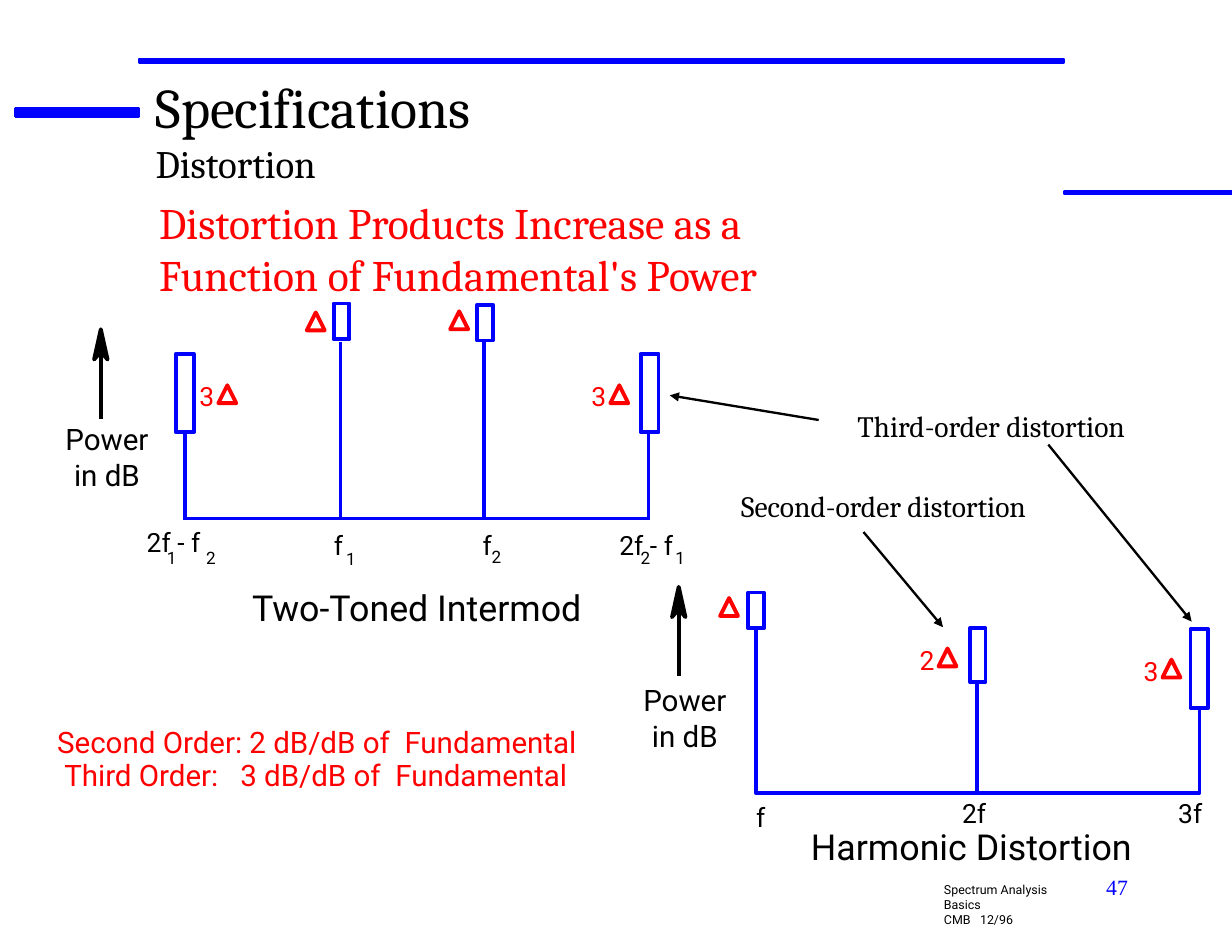
"""Build the slide on distortion products in spectrum analysis."""
import lxml.etree
import pptx
import pptx.dml.color
import pptx.enum.shapes
import pptx.enum.text
import pptx.oxml.ns
import pptx.util

BLUE, RED, BLACK = "0000FF", "FF0000", "000000"
Align = pptx.enum.text.PP_ALIGN
Anchor = pptx.enum.text.MSO_ANCHOR
hex_color = pptx.dml.color.RGBColor.from_string
qn = pptx.oxml.ns.qn

deck = pptx.Presentation()
deck.slide_width = pptx.util.Inches(11)
deck.slide_height = pptx.util.Inches(8.5)
column = deck.slide_width / 110
row = deck.slide_height / 85
page = deck.slides.add_slide(deck.slide_layouts[5])


def draw(points, color, width=2.5, filled=False, arrow=False):
    """Draw a connector through two grid points or an outline through more."""
    spots = [(round(x * column), round(y * row)) for x, y in points]
    if len(spots) == 2:
        shape = page.shapes.add_connector(
            pptx.enum.shapes.MSO_CONNECTOR.STRAIGHT, *spots[0], *spots[1])
    else:
        builder = page.shapes.build_freeform(*spots[0], scale=1.0)
        builder.add_line_segments(spots[1:], close=points[0] == points[-1])
        shape = builder.convert_to_shape()
        shape.shadow.inherit = False
        if filled:
            shape.fill.solid()
            shape.fill.fore_color.rgb = hex_color(color)
        else:
            shape.fill.background()
    shape.line.color.rgb = hex_color(color)
    shape.line.width = pptx.util.Pt(width)
    if len(spots) == 2:
        properties = shape._element.spPr
        if arrow:
            outline = properties.find(qn("a:ln"))
            lxml.etree.SubElement(outline, qn("a:tailEnd"), type="triangle")
        lxml.etree.SubElement(properties, qn("a:effectLst"))


def write(text, place, size, color=BLACK, font="Roboto", align=Align.LEFT,
          anchor=Anchor.BOTTOM, inset=(0, 0), box=None):
    """Set formatted text in a new box, or in the given one, on the grid."""
    left, top, width, height = place
    box = box or page.shapes.add_textbox(0, 0, 0, 0)
    box.left, box.width = round(left * column), round(width * column)
    box.top, box.height = round(top * row), round(height * row)
    frame = box.text_frame
    frame.text = text
    frame.word_wrap = True
    frame.auto_size = pptx.enum.text.MSO_AUTO_SIZE.NONE
    frame.vertical_anchor = anchor
    frame.margin_left = frame.margin_right = round(inset[0] * column)
    frame.margin_top = frame.margin_bottom = round(inset[1] * row)
    for para in frame.paragraphs:
        para.alignment = align
        for span in para.runs:
            span.font.name = font
            span.font.size = pptx.util.Pt(size)
            span.font.color.rgb = hex_color(color)
    return frame


for left, top, width, height in [
        (1.4, 9.7, 11, 0.7), (12.4, 5.3, 82.6, 0.3), (95, 17.1, 15, 0.2)]:
    rule = page.shapes.add_shape(
        pptx.enum.shapes.MSO_SHAPE.ROUNDED_RECTANGLE, round(left * column),
        round(top * row), round(width * column), round(height * row))
    rule.adjustments[0] = 0
    rule.shadow.inherit = False
    rule.fill.solid()
    rule.fill.fore_color.rgb = hex_color(BLUE)
    rule.line.color.rgb = hex_color(BLUE)
    rule.line.width = pptx.util.Pt(1.5)

title = write("Specifications\nDistortion", (13.9, 6.5, 82.8, 10), 36,
              font="Cambria", anchor=Anchor.TOP, box=page.shapes.title)
title.paragraphs[1].runs[0].font.size = pptx.util.Pt(25)
write("Distortion Products Increase as a Function of Fundamental's Power",
      (14.2, 17.5, 63.2, 9.2), 28, RED, "Cambria", anchor=Anchor.TOP)
write("Spectrum Analysis Basics\nCMB   12/96", (83.3, 78.3, 13.6, 3.7), 8,
      anchor=Anchor.TOP, inset=(1, 0.5))
write("47", (79.2, 77.5, 22.5, 5.8), 14, BLUE, "Times New Roman",
      Align.RIGHT, Anchor.TOP, (1, 0.5))

draw([(16.5, 46.3), (58, 46.3)], BLUE)
for x, top in [(16.5, 38.7), (30.4, 30.5), (43.2, 30.4), (57.9, 38.7)]:
    draw([(x, top), (x, 46.4)], BLUE)
draw([(67.5, 56.2), (67.5, 70.8), (87.2, 70.8), (87.2, 61.1)], BLUE)
draw([(107.1, 63.4), (107.1, 70.8), (87, 70.8)], BLUE)

for left, top, width, height, delta_left, delta_top, factor in [
        (15.7, 31.6, 1.6, 7, 19.5, 34.4, "3"),
        (29.8, 27.1, 1.4, 3.2, 27.4, 27.9, ""),
        (42.6, 27.2, 1.4, 3.2, 40.2, 27.8, ""),
        (57.2, 31.6, 1.6, 7, 54.5, 34.4, "3"),
        (66.8, 52.9, 1.4, 3.2, 64.3, 53.4, ""),
        (86.6, 56.1, 1.4, 4.8, 83.8, 57.9, "2"),
        (106.3, 56.2, 1.6, 7, 103.8, 58.9, "3")]:
    right, bottom = left + width, top + height
    draw([(right, top), (right, bottom), (left, bottom), (left, top),
          (right, top)], BLUE)
    apex = (delta_left + 0.8, delta_top)
    draw([apex, (delta_left + 1.6, delta_top + 1.6),
          (delta_left, delta_top + 1.6), apex], RED)
    if factor:
        write(factor, (delta_left - 1.7, delta_top - 0.7, 1.8, 3.1), 17, RED)

for x, tip, label_top in [(9, 29.4, 37.6), (60.6, 52.4, 60.9)]:
    draw([(x, tip + 2), (x, tip + 8)], BLACK)
    draw([(x, tip), (x - 0.6, tip + 2.7), (x, tip + 2), (x + 0.6, tip + 2.7),
          (x, tip)], BLACK, filled=True)
    write("Power\nin dB", (x - 3.6, label_top, 8.3, 7), 19,
          align=Align.CENTER, anchor=Anchor.TOP)

for text, left, bottom, width in [
        ("2f - f", 13.1, 49.8, 13.6), ("f", 29.8, 50.1, 1.2),
        ("f", 43.1, 50.1, 1.2), ("2f - f", 55.3, 50.1, 7),
        ("f", 67.5, 74.4, 1.2), ("2f", 85.9, 74, 2.8), ("3f", 105.2, 74, 2.8)]:
    write(text, (left, bottom - 3.1, width, 3.1), 17)
for text, left, top in [
        ("1", 14.9, 48.5), ("2", 18.4, 48.5), ("1", 30.9, 48.6),
        ("2", 43.9, 48.4), ("2", 57.2, 48.5), ("1", 60.3, 48.5)]:
    write(text, (left, top, 1.3, 2.2), 11)

write("Two-Toned Intermod", (22.5, 49.7, 33.2, 6.4), 23)
write("Harmonic Distortion", (72.4, 73.3, 31.8, 4.2), 23)
write("Second Order: 2 dB/dB of  Fundamental", (2, 62.2, 52.6, 5.6), 19, RED,
      align=Align.CENTER)
write("Third Order:   3 dB/dB of  Fundamental", (0.8, 67.1, 54.8, 3.7), 19,
      RED, align=Align.CENTER)
write("Third-order distortion", (74.7, 36.4, 27.6, 3.2), 19, BLACK, "Cambria",
      Align.CENTER, Anchor.TOP)
write("Second-order distortion", (63.9, 43.6, 30, 3.2), 19, BLACK, "Cambria",
      Align.CENTER, Anchor.TOP)
for start, end in [((77.1, 47.5), (84.2, 56)), ((73.1, 37.5), (59.8, 35.3)),
                   ((93.6, 39.7), (106.4, 55.5))]:
    draw([start, end], BLACK, 1.5, arrow=True)

deck.save("out.pptx")
